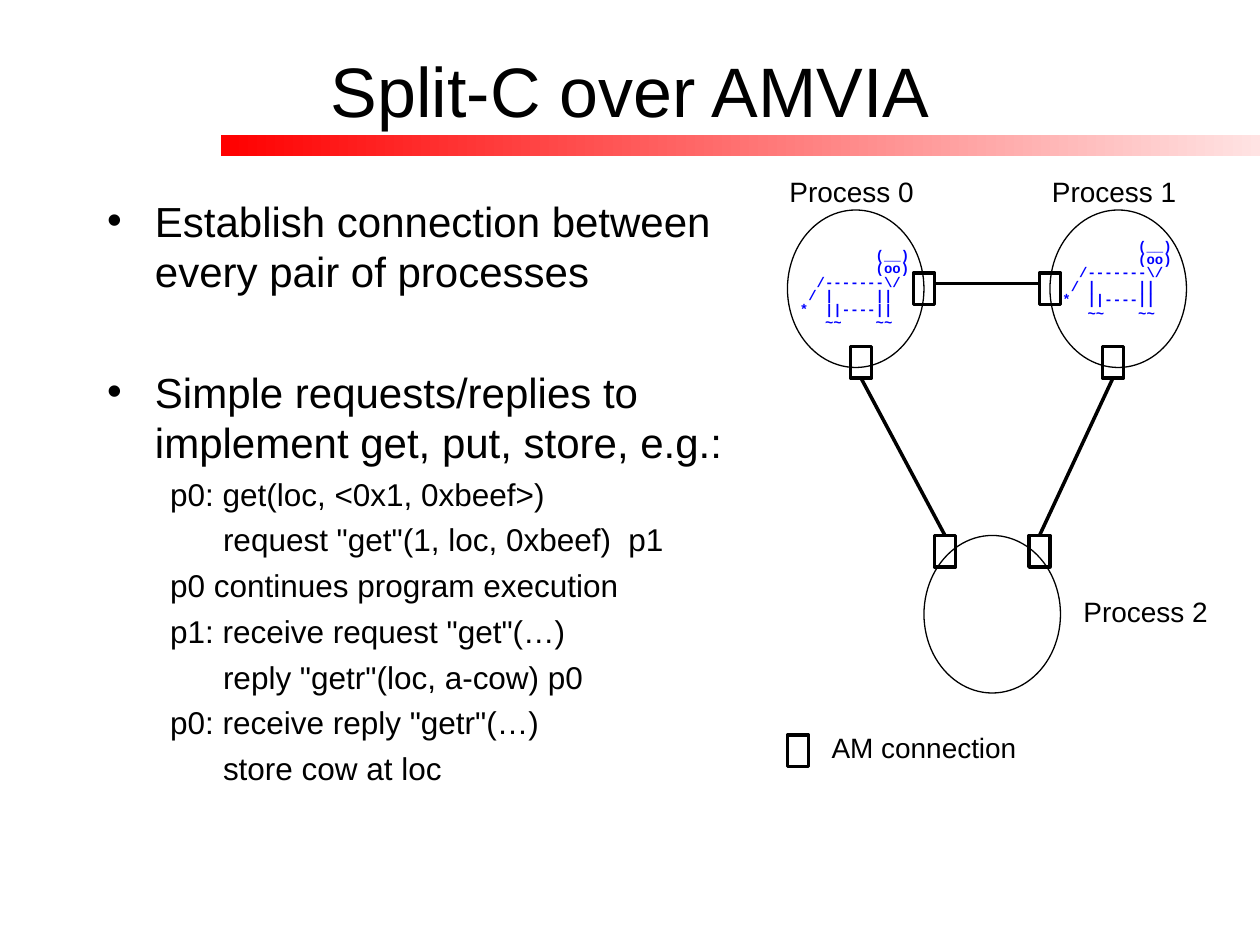
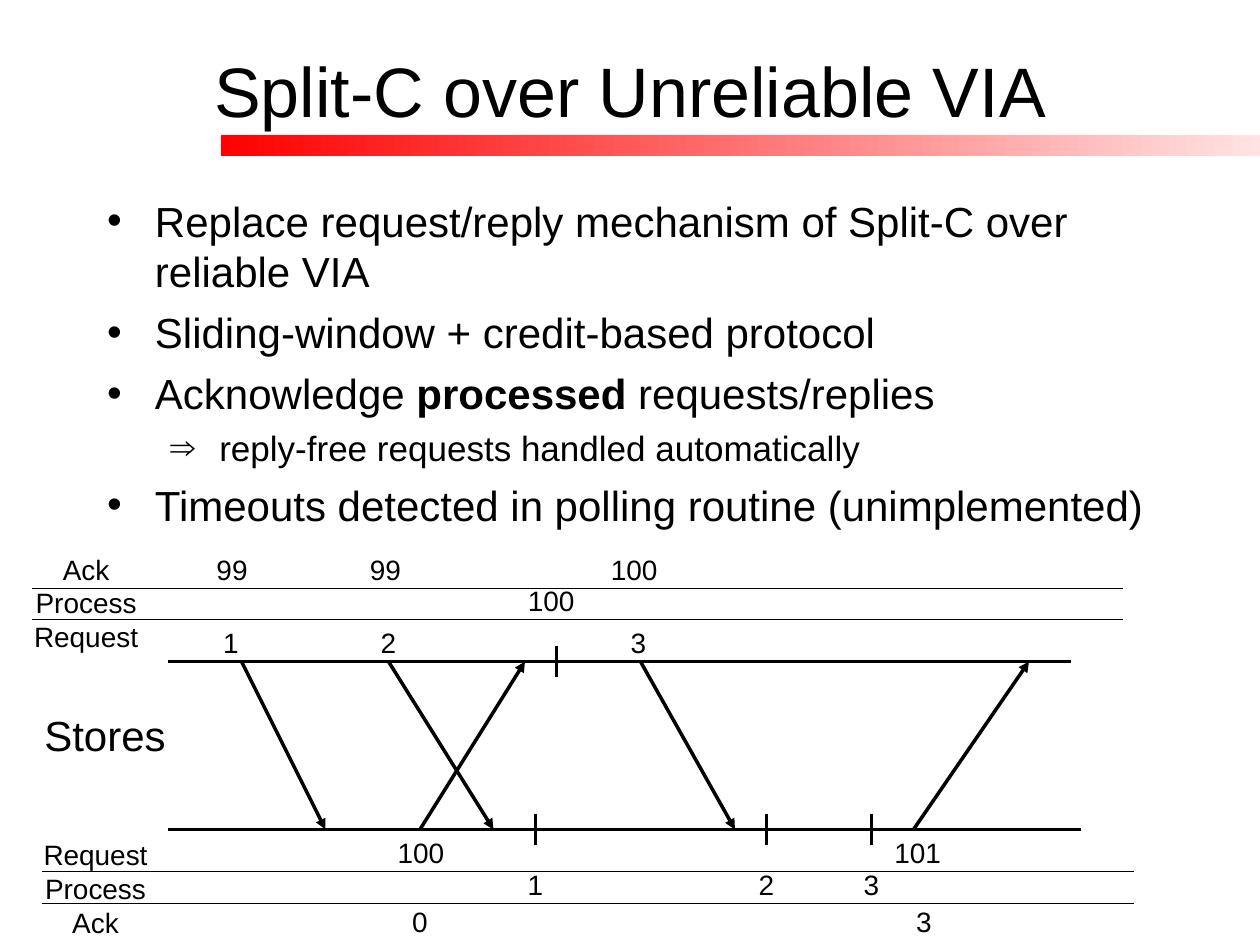
from lxml.etree import SubElement
from pptx import Presentation
from pptx.dml.color import RGBColor
from pptx.enum.shapes import MSO_CONNECTOR, MSO_SHAPE
from pptx.enum.text import MSO_ANCHOR, MSO_AUTO_SIZE, PP_ALIGN
from pptx.oxml.ns import qn
from pptx.util import Inches, Pt

WIDE, HIGH = 120, 90
BLACK, BLUE, RED, PINK = "000000", "0000FF", "FF0000", "FFE3E3"
SANS, MONO = "Arial", "Courier New"
LEVELS = {
    "dot": dict(size=24, gap=6, left=0.38, hang=-0.38, mark="•"),
    "arrow": dict(size=20, gap=5, left=0.89, hang=-0.39, mark="⇒"),
    "code": dict(size=18, gap=4.5, left=0.5, hang=0, mark=None),
    "deep": dict(size=18, gap=4.5, left=0.92, hang=0, mark=None),
}
COW = [
    "         (__)",
    "         (oo)",
    "  /-------\\/",
    " / |     ||",
    "*  ||----||",
    "   ~~    ~~",
]


def put(thing, **vals):
    for name, val in vals.items():
        setattr(thing, name, val)


def tint(code):
    return RGBColor.from_string(code)


def cell(*units):
    return [Inches(unit / 12) for unit in units]


class Deck:
    def __init__(self):
        self.prs = Presentation()
        put(self.prs, slide_width=cell(WIDE)[0], slide_height=cell(HIGH)[0])
        self.base = self.prs.slide_layouts[1]
        self.slide = None

    def page(self, title):
        first = self.slide is None
        self.slide = self.prs.slides.add_slide(self.base)
        if first:
            self.band()
        head = self.slide.shapes.title
        frame = self.place(head, 9, 1, 102, 15)
        frame.vertical_anchor = MSO_ANCHOR.MIDDLE
        para = frame.paragraphs[0]
        para.alignment = PP_ALIGN.CENTER
        self.run(para, title, 40)

    def band(self):
        band = self.slide.shapes.add_shape(
            MSO_SHAPE.RECTANGLE, *cell(21, 12.9, WIDE - 21, 2))
        band.shadow.inherit = False
        band.line.fill.background()
        band.fill.gradient()
        band.fill.gradient_angle = 0
        for stop, code, spot in zip(band.fill.gradient_stops, (RED, PINK), (0, 1)):
            stop.color.rgb = tint(code)
            stop.position = spot
        self.base.shapes.element.insert(2, band.element)

    def place(self, shape, x, y, wide, high):
        left, top, width, height = cell(x, y, wide, high)
        put(shape, left=left, top=top, width=width, height=height)
        put(shape.text_frame, auto_size=MSO_AUTO_SIZE.NONE, word_wrap=True)
        return shape.text_frame

    def run(self, para, text, size, face=SANS, code=BLACK, bold=False):
        run = para.add_run()
        run.text = text
        put(run.font, name=face, size=Pt(size), bold=bold)
        run.font.color.rgb = tint(code)

    def lines(self, frame, count):
        return [frame.add_paragraph() if i else frame.paragraphs[0]
                for i in range(count)]

    def body(self, wide, high, items):
        frame = self.place(self.slide.placeholders[1], 9, 18, wide, high)
        for para, (kind, text, *extra) in zip(self.lines(frame, len(items)), items):
            form = LEVELS[kind]
            gap = form["gap"] + sum(extra)
            put(para, level=int(kind != "dot"), space_before=Pt(gap), line_spacing=1.0)
            props = para._p.get_or_add_pPr()
            props.set("marL", str(Inches(form["left"])))
            props.set("indent", str(Inches(form["hang"])))
            if form["mark"]:
                SubElement(props, qn("a:buChar")).set("char", form["mark"])
            else:
                SubElement(props, qn("a:buNone"))
            for i, part in enumerate(text.split("*")):
                self.run(para, part, form["size"], bold=i % 2 == 1)

    def label(self, mid, y, *texts, size=16, high=4.4, wide=14):
        box = self.slide.shapes.add_textbox(0, 0, 0, 0)
        frame = self.place(box, mid - wide / 2, y, wide, high)
        put(frame, vertical_anchor=MSO_ANCHOR.MIDDLE, word_wrap=False)
        for para, text in zip(self.lines(frame, len(texts)), texts):
            para.alignment = PP_ALIGN.CENTER
            self.run(para, text, size)

    def cow(self, x, y):
        box = self.slide.shapes.add_textbox(0, 0, 0, 0)
        frame = self.place(box, x, y, 13, 9.2)
        for para, text in zip(self.lines(frame, len(COW)), COW):
            para.line_spacing = 0.8
            self.run(para, text, 8, MONO, BLUE, True)

    def shape(self, kind, x, y, wide, high, weight):
        shape = self.slide.shapes.add_shape(kind, *cell(x, y, wide, high))
        shape.shadow.inherit = False
        shape.fill.background()
        shape.line.color.rgb = tint(BLACK)
        shape.line.width = Pt(weight)

    def ring(self, x, y):
        self.shape(MSO_SHAPE.OVAL, x, y, 13, 15, 0.75)

    def port(self, x, y):
        self.shape(MSO_SHAPE.RECTANGLE, x, y, 2, 3, 2)

    def line(self, x1, y1, x2, y2, weight=2, arrow=False):
        line = self.slide.shapes.add_connector(
            MSO_CONNECTOR.STRAIGHT, *cell(x1, y1, x2, y2))
        line.line.color.rgb = tint(BLACK)
        line.line.width = Pt(weight)
        if arrow:
            SubElement(line.get_or_add_ln(), qn("a:tailEnd")).set("type", "triangle")
        SubElement(line.element.spPr, qn("a:effectLst"))


def links(deck):
    deck.page("Split-C over AMVIA")
    deck.body(64, 62, [
        ("dot", "Establish connection between every pair of processes"),
        ("dot", "Simple requests/replies to implement get, put, store, e.g.:", 34),
        ("code", "p0: get(loc, <0x1, 0xbeef>)"),
        ("deep", 'request "get"(1, loc, 0xbeef)  p1'),
        ("code", "p0 continues program execution"),
        ("code", 'p1: receive request "get"(…)'),
        ("deep", 'reply "getr"(loc, a-cow) p0'),
        ("code", 'p0: receive reply "getr"(…)'),
        ("deep", "store cow at loc"),
    ])
    for spot in ((75, 20), (100, 20), (88, 51)):
        deck.ring(*spot)
    for spot in ((87, 26), (81, 33), (99, 26), (105, 33), (89, 51), (98, 51), (75, 70)):
        deck.port(*spot)
    for ends in ((82, 36, 90, 51), (89, 27, 99, 27), (106, 36, 99, 51)):
        deck.line(*ends)
    for mid, y, text in ((81.1, 16, "Process 0"), (106.1, 16, "Process 1"),
                         (109.1, 56, "Process 2"), (88, 69, "AM connection")):
        deck.label(mid, y, text, wide=20 if y == 69 else 14)
    deck.cow(75, 23.2)
    deck.cow(100, 22.3)


def stores(deck):
    deck.page("Split-C over Unreliable VIA")
    deck.body(102, 34, [
        ("dot", "Replace request/reply mechanism of Split-C over reliable VIA"),
        ("dot", "Sliding-window + credit-based protocol"),
        ("dot", "Acknowledge *processed* requests/replies"),
        ("arrow", "reply-free requests handled automatically"),
        ("dot", "Timeouts detected in polling routine (unimplemented)"),
    ])
    high, low = 63, 79
    deck.line(16, high, 102, high)
    deck.line(16, low, 103, low)
    for start, end in ((23, 31), (37, 47), (61, 70)):
        deck.line(start, high, end, low, arrow=True)
    for start, end in ((40, 50), (87, 98)):
        deck.line(start, low, end, high, arrow=True)
    for x, y in ((53, high), (51, low), (73, low), (83, low)):
        deck.line(x, y - 1.5, x, y + 1.5)
    for x, rows in ((3, (56, 59)), (4, (83, 86))):
        for y in rows:
            deck.line(x, y, x + 104, y, 0.25)
    names = ["Ack", "Process", "Request"]
    deck.label(8.2, 52, *names, high=10.8)
    deck.label(9.1, 79.2, *names[::-1], high=10.8)
    deck.label(10, 67, "Stores", size=24, high=6)
    marks = {
        52: ((22.1, "99"), (36.7, "99"), (60.4, "100")),
        55: ((52.5, "100"),),
        59: ((22, "1"), (37, "2"), (60.8, "3")),
        79: ((40.1, "100"), (87.4, "101")),
        82: ((51, "1"), (73, "2"), (83, "3")),
        85.5: ((40, "0"), (88, "3")),
    }
    for y, row in marks.items():
        for mid, text in row:
            deck.label(mid, y, text, wide=6)


def main():
    deck = Deck()
    links(deck)
    stores(deck)
    deck.prs.save("out.pptx")


if __name__ == "__main__":
    main()
